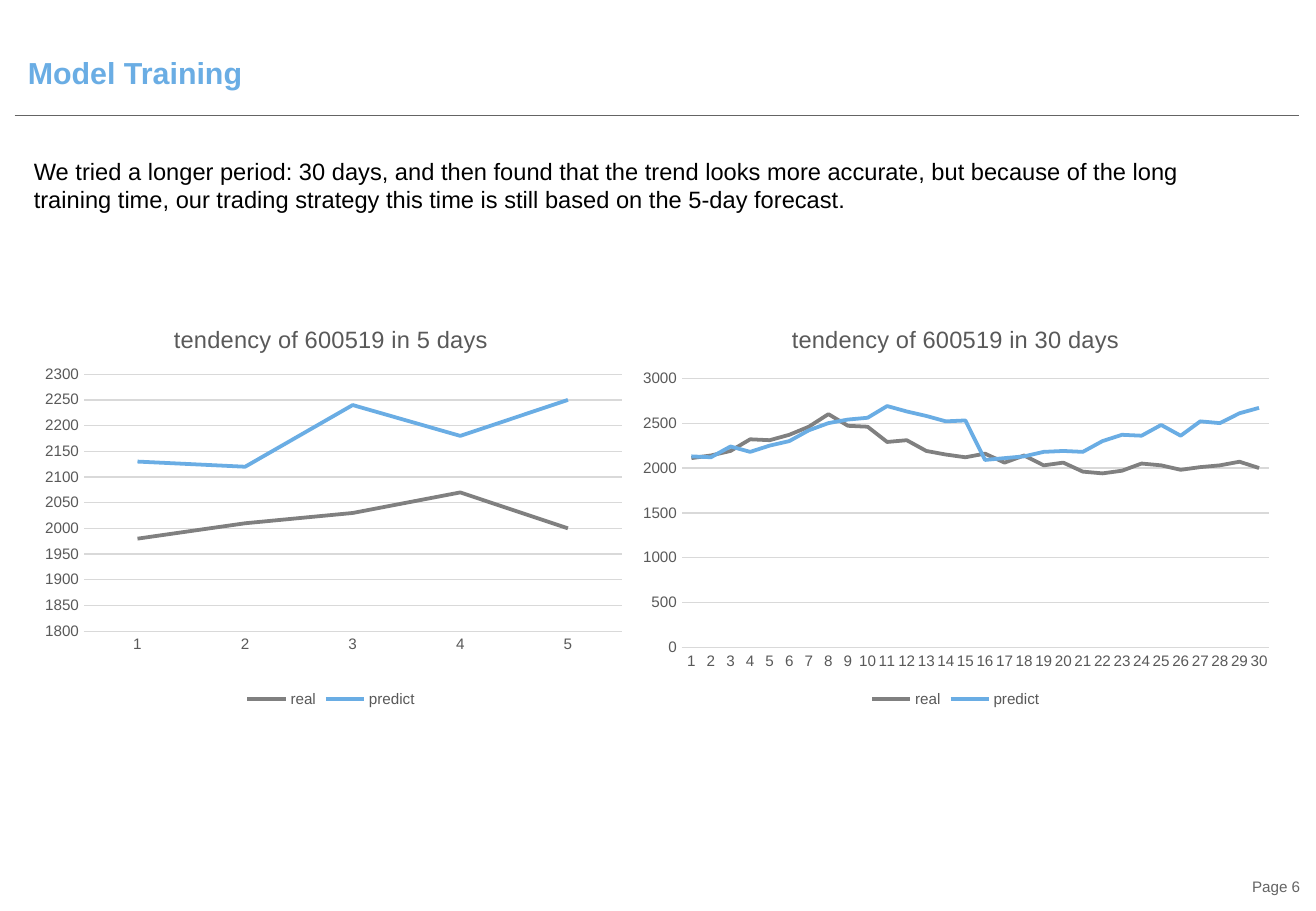
from dataclasses import dataclass

from lxml import etree
from pptx import Presentation
from pptx import util as u
from pptx.chart.data import CategoryChartData
from pptx.dml.color import RGBColor
from pptx.enum import chart as charts
from pptx.enum import shapes, text
from pptx.oxml import parse_xml
from pptx.oxml.ns import nsdecls, qn

FONT = "Arial"
BLUE, GRAY, DARK, LABEL, GRID = "6AADE4", "808080", "646464", "595959", "D9D9D9"
BLACK = "000000"


@dataclass
class TrendChart:
    days: int
    left: float
    width: float
    plot: tuple[float, float, float, float]
    scale: tuple[int, int, int]
    real: list[int]
    predict: list[int]


TRENDS = [
    TrendChart(
        30, 5.18, 5.37, (0.08, 0.18, 0.9, 0.66), (0, 3000, 500),
        [2110, 2140, 2190, 2320, 2310, 2370, 2460, 2600, 2470, 2460,
         2290, 2310, 2190, 2150, 2120, 2160, 2060, 2140, 2030, 2060,
         1960, 1940, 1970, 2050, 2030, 1980, 2010, 2030, 2070, 2000],
        [2130, 2120, 2240, 2180, 2250, 2300, 2420, 2500, 2540, 2560,
         2690, 2630, 2580, 2520, 2530, 2090, 2110, 2130, 2180, 2190,
         2180, 2300, 2370, 2360, 2480, 2360, 2520, 2500, 2610, 2670]),
    TrendChart(
        5, 0.18, 5.09, (0.1, 0.17, 0.87, 0.63), (1800, 2300, 50),
        [1980, 2010, 2030, 2070, 2000],
        [2130, 2120, 2240, 2180, 2250]),
]


def color(value: str) -> RGBColor:
    return RGBColor.from_string(value)


def style_font(font, size: float, fill: str, bold: bool = False) -> None:
    font.name, font.size, font.bold = FONT, u.Pt(size), bold
    font.color.rgb = color(fill)


def style_line(line, fill: str, width: float) -> None:
    line.color.rgb = color(fill)
    line.width = u.Pt(width)


def write(box, content: str, *, at, size, fill, bold=False, spacing=None,
          align=text.PP_ALIGN.LEFT, anchor=text.MSO_ANCHOR.TOP,
          insets=(0.1, 0.05, 0.1, 0.05)) -> None:
    box.left, box.top, box.width, box.height = map(u.Inches, at)
    frame = box.text_frame
    frame.word_wrap = True
    frame.auto_size = text.MSO_AUTO_SIZE.NONE
    frame.vertical_anchor = anchor
    (frame.margin_left, frame.margin_top,
     frame.margin_right, frame.margin_bottom) = map(u.Inches, insets)
    para = frame.paragraphs[0]
    para.alignment = align
    para.line_spacing = spacing
    span = para.add_run()
    span.text = content
    style_font(span.font, size, fill, bold)


def place_plot(chart, area: tuple[float, float, float, float]) -> None:
    plot_area = chart.plots[0]._element.getparent()
    for old in plot_area.findall(qn("c:layout")):
        plot_area.remove(old)
    sizes = "".join(f'<c:{name} val="{value}"/>'
                    for name, value in zip("xywh", area))
    plot_area.insert(0, parse_xml(
        f'<c:layout {nsdecls("c")}><c:manualLayout>'
        '<c:layoutTarget val="inner"/><c:xMode val="edge"/>'
        f'<c:yMode val="edge"/>{sizes}</c:manualLayout></c:layout>'))


def draw_trend(page, trend: TrendChart) -> None:
    data = CategoryChartData()
    data.categories = [str(day) for day in range(1, trend.days + 1)]
    data.add_series("real", trend.real)
    data.add_series("predict", trend.predict)
    chart = page.shapes.add_chart(
        charts.XL_CHART_TYPE.LINE, u.Inches(trend.left), u.Inches(2.51),
        u.Inches(trend.width), u.Inches(3.36), data).chart
    style_font(chart.font, 10, BLACK)

    # Title and legend
    chart.has_title = True
    span = chart.chart_title.text_frame.paragraphs[0].add_run()
    span.text = f"tendency of 600519 in {trend.days} days"
    style_font(span.font, 14, LABEL)
    chart.has_legend = True
    chart.legend.position = charts.XL_LEGEND_POSITION.BOTTOM
    chart.legend.include_in_layout = False
    style_font(chart.legend.font, 9, LABEL)

    # Axes
    for axis in (chart.category_axis, chart.value_axis):
        axis.major_tick_mark = charts.XL_TICK_MARK.NONE
        axis.minor_tick_mark = charts.XL_TICK_MARK.NONE
        style_font(axis.tick_labels.font, 9, LABEL)
    style_line(chart.category_axis.format.line, GRID, 0.75)
    values = chart.value_axis
    values.minimum_scale, values.maximum_scale, values.major_unit = trend.scale
    values.format.line.fill.background()
    style_line(values.major_gridlines.format.line, GRID, 0.75)

    # Series
    plot = chart.plots[0]
    plot.vary_by_categories = False
    for series, fill in zip(plot.series, (GRAY, BLUE)):
        series.smooth = False
        series.marker.style = charts.XL_MARKER_STYLE.NONE
        style_line(series.format.line, fill, 2.25)
    place_plot(chart, trend.plot)


def main() -> None:
    deck = Presentation()
    deck.slide_width, deck.slide_height = u.Inches(10.83), u.Inches(7.5)
    page = deck.slides.add_slide(deck.slide_layouts[5])

    # Heading and rule
    write(page.shapes.title, "Model Training", at=(0.18, 0.33, 10.59, 0.42),
          size=18, fill=BLUE, bold=True, spacing=0.85,
          anchor=text.MSO_ANCHOR.BOTTOM, insets=(0.05, 0, 0, 0))
    rule = page.shapes.add_connector(
        shapes.MSO_CONNECTOR.STRAIGHT, u.Inches(0.12), u.Inches(0.95),
        u.Inches(10.69), u.Inches(0.95))
    style_line(rule.line, DARK, 0.75)
    etree.SubElement(rule._element.spPr, qn("a:effectLst"))

    # Finding and page number
    write(page.shapes.add_textbox(0, 0, 0, 0),
          "We tried a longer period: 30 days, and then found that the trend "
          "looks more accurate, but because of the long training time, our "
          "trading strategy this time is still based on the 5-day forecast.",
          at=(0.18, 1.24, 10.02, 0.57), size=14, fill=BLACK)
    write(page.shapes.add_textbox(0, 0, 0, 0), "Page 6",
          at=(8.16, 7.19, 2.54, 0.22), size=9, fill=DARK,
          align=text.PP_ALIGN.RIGHT, anchor=text.MSO_ANCHOR.MIDDLE,
          insets=(0, 0, 0, 0))

    # Charts
    for trend in TRENDS:
        draw_trend(page, trend)

    deck.save("out.pptx")


if __name__ == "__main__":
    main()
